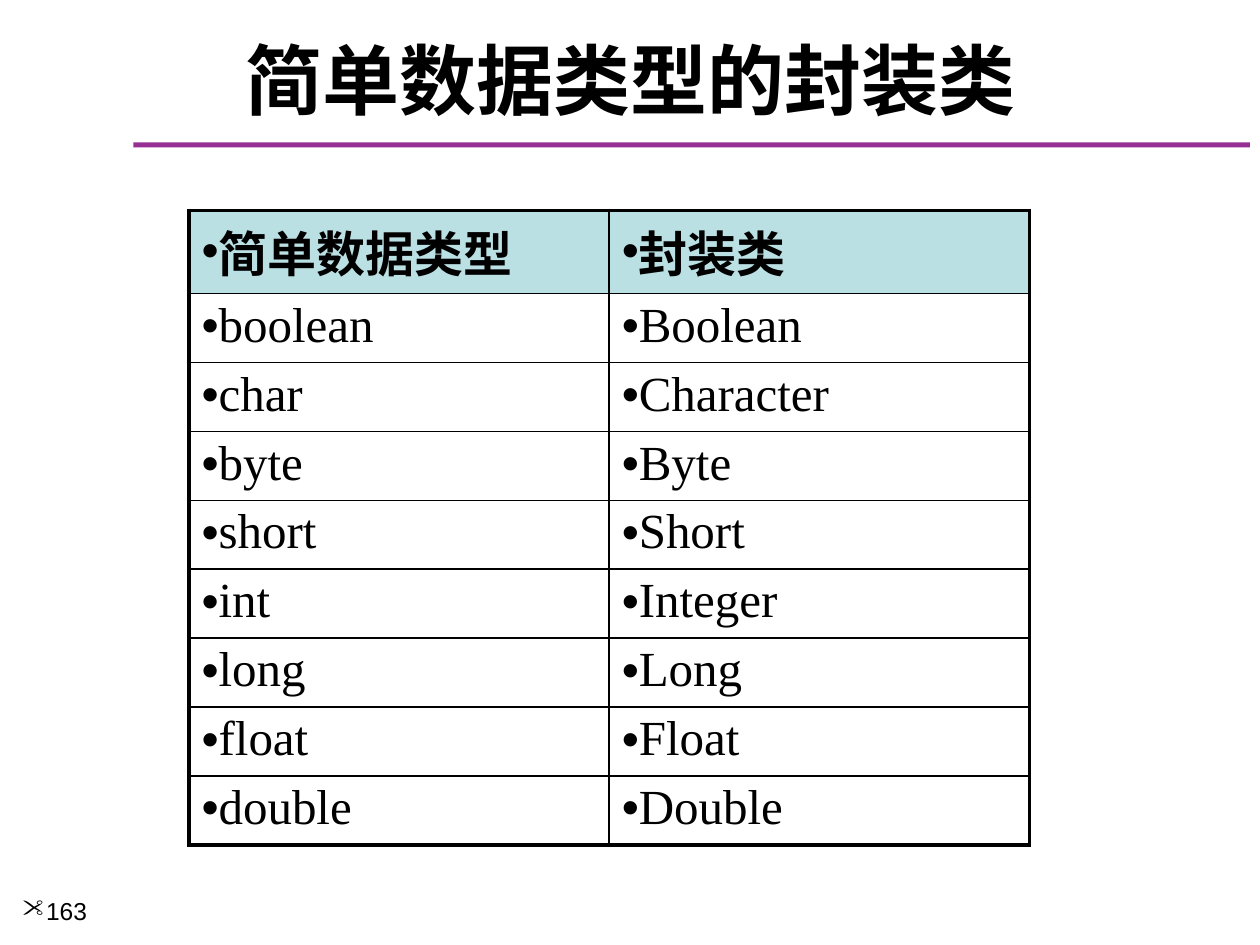
from lxml import etree
from pptx import Presentation
from pptx.dml.color import RGBColor
from pptx.enum.shapes import MSO_SHAPE
from pptx.enum.text import MSO_ANCHOR, PP_ALIGN
from pptx.oxml.ns import qn
from pptx.util import Inches, Pt

RECTANGLE = MSO_SHAPE.RECTANGLE
MIDDLE = MSO_ANCHOR.MIDDLE
CENTER = PP_ALIGN.CENTER

BLACK = RGBColor(0x00, 0x00, 0x00)
WHITE = RGBColor(0xFF, 0xFF, 0xFF)
PURPLE = RGBColor(0x97, 0x30, 0x95)
PALE_TEAL = RGBColor(0xBB, 0xE0, 0xE3)

CHINESE_FONT = "Noto Sans CJK SC"
CODE_FONT = "Times New Roman"
NUMBER_FONT = "Arial"
OUTER_LINE, INNER_LINE = Pt(2.25), Pt(1)

WRAPPER_CLASSES = [
    ("简单数据类型", "封装类"),
    ("boolean", "Boolean"),
    ("char", "Character"),
    ("byte", "Byte"),
    ("short", "Short"),
    ("int", "Integer"),
    ("long", "Long"),
    ("float", "Float"),
    ("double", "Double"),
]


def format_text(para, font_name, size, bold=False):
    """Style every run, for Latin and East Asian characters alike."""
    for span in para.runs:
        span.font.name = font_name
        span.font.size = Pt(size)
        span.font.bold = bold
        span.font.color.rgb = BLACK
        east_asian = etree.SubElement(span.font._element, qn("a:ea"))
        east_asian.set("typeface", font_name)


def add_bullet(para, symbol, font_name):
    properties = para._p.get_or_add_pPr()
    etree.SubElement(properties, qn("a:buFont")).set("typeface", font_name)
    etree.SubElement(properties, qn("a:buChar")).set("char", symbol)


def set_border(cell, side, width):
    properties = cell._tc.get_or_add_tcPr()
    line = etree.SubElement(properties, qn(f"a:ln{side}"), w=str(width))
    fill = etree.SubElement(line, qn("a:solidFill"))
    etree.SubElement(fill, qn("a:srgbClr"), val=str(BLACK))


def add_text(page, box, text):
    frame = page.shapes.add_textbox(*box).text_frame
    frame.word_wrap = True
    frame.text = text
    return frame


def add_title(page, box, text):
    frame = add_text(page, box, text)
    frame.vertical_anchor = MIDDLE
    para = frame.paragraphs[0]
    para.alignment = CENTER
    format_text(para, CHINESE_FONT, 44, bold=True)


def add_rule(page, box):
    rule = page.shapes.add_shape(RECTANGLE, *box)
    rule.shadow.inherit = False
    rule.fill.solid()
    rule.fill.fore_color.rgb = PURPLE
    rule.line.fill.background()


def add_page_number(page, box, number):
    para = add_text(page, box, number).paragraphs[0]
    add_bullet(para, '"', "Wingdings")
    format_text(para, NUMBER_FONT, 14)


def fill_cell(cell, text, is_header):
    cell.margin_top = cell.margin_bottom = Inches(0.04)
    cell.text = text
    para = cell.text_frame.paragraphs[0]
    add_bullet(para, "•", NUMBER_FONT)
    format_text(para, CHINESE_FONT if is_header else CODE_FONT, 28, is_header)


def add_class_table(page, box, rows):
    left, top, width, height = box
    row_count, column_count = len(rows), len(rows[0])
    table = page.shapes.add_table(row_count, column_count, *box).table
    header_height = Inches(0.66)
    for index, row in enumerate(table.rows):
        row.height = header_height if index == 0 else (height - header_height) // (row_count - 1)
    for r, texts in enumerate(rows):
        for c, text in enumerate(texts):
            cell = table.cell(r, c)
            fill_cell(cell, text, r == 0)
            on_edge = {
                "L": c == 0,
                "R": c == column_count - 1,
                "T": r == 0,
                "B": r == row_count - 1,
            }
            for side, outer in on_edge.items():
                set_border(cell, side, OUTER_LINE if outer else INNER_LINE)
            cell.fill.solid()
            cell.fill.fore_color.rgb = PALE_TEAL if r == 0 else WHITE


def inches_box(*lengths):
    return [Inches(length) for length in lengths]


def main():
    deck = Presentation()
    deck.slide_width, deck.slide_height = Inches(10), Inches(7.5)
    page = deck.slides.add_slide(deck.slide_layouts[6])
    add_rule(page, inches_box(1.06, 1.13, 8.86, 0.04))
    add_title(page, inches_box(0.17, 0.25, 9.67, 0.75), "简单数据类型的封装类")
    add_page_number(page, inches_box(0.08, 7.06, 1.08, 0.44), "163")
    add_class_table(page, inches_box(1.5, 1.67, 6.67, 4.9), WRAPPER_CLASSES)
    deck.save("out.pptx")


if __name__ == "__main__":
    main()
